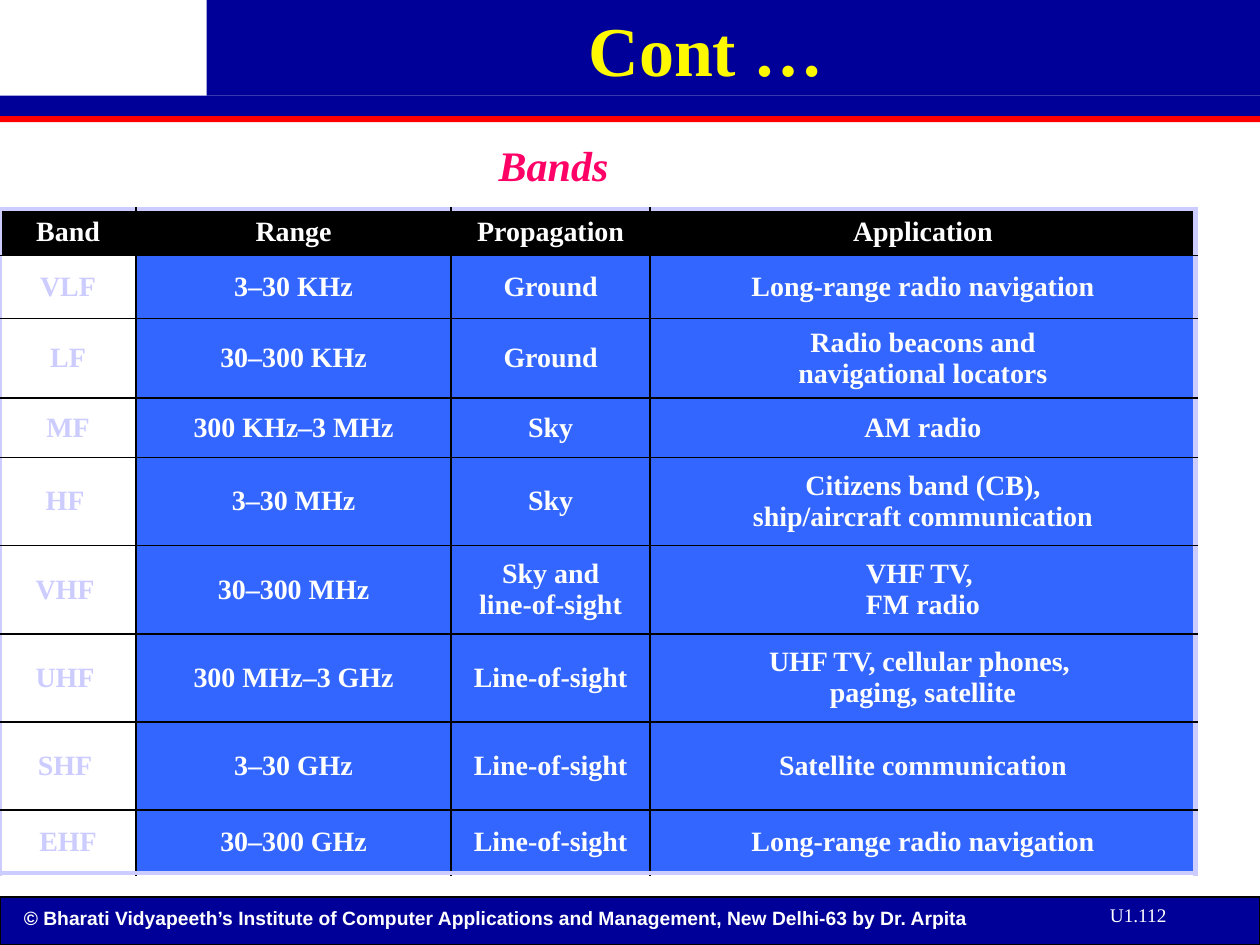
"""Build a slide with a table of radio frequency bands."""
import pptx
import pptx.dml.color
import pptx.enum.shapes
import pptx.enum.text
import pptx.oxml.ns
import pptx.util
from lxml import etree
from pptx.util import Inches

COLORS = {
    "navy": "000099", "red": "FF0000", "black": "000000", "white": "FFFFFF",
    "yellow": "FEF800", "pink": "FF0066", "lavender": "CCCCFF", "blue": "3366FF",
}
SERIF = "Times New Roman"
COLUMN_WIDTHS = [1.08, 2.5, 1.58, 4.33]
ROW_HEIGHTS = [0.2, 0.5, 0.58, 0.47, 0.7, 0.7, 0.7, 0.7, 0.5]
BANDS = [
    ("Band", "Range", "Propagation", "Application"),
    ("VLF", "3–30 KHz", "Ground", "Long-range radio navigation"),
    ("LF", "30–300 KHz", "Ground", "Radio beacons and\vnavigational locators"),
    ("MF", "300 KHz–3 MHz", "Sky", "AM radio"),
    ("HF ", "3–30 MHz", "Sky", "Citizens band (CB),\vship/aircraft communication"),
    ("VHF ", "30–300 MHz", "Sky and\vline-of-sight", "VHF TV, \vFM radio"),
    ("UHF ", "300 MHz–3 GHz", "Line-of-sight", "UHF TV, cellular phones, \vpaging, satellite"),
    ("SHF ", "3–30 GHz", "Line-of-sight", "Satellite communication"),
    ("EHF", "30–300 GHz", "Line-of-sight", "Long-range radio navigation"),
]


def rgb(name):
    return pptx.dml.color.RGBColor.from_string(COLORS[name])


def place(shape, left, top, width, height):
    shape.left, shape.top = Inches(left), Inches(top)
    shape.width, shape.height = Inches(width), Inches(height)


def style(paragraph, size, color, face=SERIF, bold=False, italic=False):
    font = paragraph.font
    font.size, font.name = pptx.util.Pt(size), face
    font.bold, font.italic = bold, italic
    font.color.rgb = rgb(color)


def add_bar(slide, left, top, width, height, color, outline=None):
    bar = slide.shapes.add_shape(
        pptx.enum.shapes.MSO_SHAPE.RECTANGLE,
        Inches(left), Inches(top), Inches(width), Inches(height))
    bar.shadow.inherit = False
    bar.fill.solid()
    bar.fill.fore_color.rgb = rgb(color)
    if outline:
        bar.line.color.rgb = rgb(outline)
        bar.line.width = pptx.util.Pt(0.75)
    else:
        bar.line.fill.background()


def add_label(slide, text, left, top, width, height, size, color, wrap=True, **look):
    label = slide.shapes.add_textbox(
        Inches(left), Inches(top), Inches(width), Inches(height))
    label.text_frame.word_wrap = wrap
    label.text_frame.text = text
    style(label.text_frame.paragraphs[0], size, color, **look)


def add_title(slide, text):
    title = slide.shapes.title
    title.element.getparent().append(title.element)
    place(title, 1.48, 0, 8.25, 0.77)
    frame = title.text_frame
    frame.text = text
    frame.auto_size = pptx.enum.text.MSO_AUTO_SIZE.NONE
    frame.vertical_anchor = pptx.enum.text.MSO_ANCHOR.TOP
    frame.paragraphs[0].alignment = pptx.enum.text.PP_ALIGN.CENTER
    style(frame.paragraphs[0], 40, "yellow", bold=True)


def set_borders(cell, outer_sides):
    properties = cell._tc.get_or_add_tcPr()
    qn = pptx.oxml.ns.qn
    for side in "LRTB":
        color, points = ("lavender", 3) if side in outer_sides else ("black", 1)
        border = etree.SubElement(
            properties, qn(f"a:ln{side}"), w=str(pptx.util.Pt(points)))
        fill = etree.SubElement(border, qn("a:solidFill"))
        etree.SubElement(fill, qn("a:srgbClr"), val=COLORS[color])


def fill_cell(cell, text, background, color, outer_sides):
    set_borders(cell, outer_sides)
    cell.fill.solid()
    cell.fill.fore_color.rgb = rgb(background)
    cell.vertical_anchor = pptx.enum.text.MSO_ANCHOR.MIDDLE
    cell.text = text
    paragraph = cell.text_frame.paragraphs[0]
    paragraph.alignment = pptx.enum.text.PP_ALIGN.CENTER
    style(paragraph, 16, color, bold=True)


def add_band_table(slide):
    last_row, last_column = len(BANDS) - 1, len(COLUMN_WIDTHS) - 1
    table = slide.shapes.add_table(
        len(BANDS), len(COLUMN_WIDTHS), Inches(0), Inches(1.66),
        Inches(sum(COLUMN_WIDTHS)), Inches(sum(ROW_HEIGHTS))).table
    table.first_row = table.horz_banding = False
    for column, width in zip(table.columns, COLUMN_WIDTHS):
        column.width = Inches(width)
    for row, height in zip(table.rows, ROW_HEIGHTS):
        row.height = Inches(height)
    for r, band in enumerate(BANDS):
        for c, text in enumerate(band):
            edges = {"L": c == 0, "R": c == last_column, "T": r == 0, "B": r == last_row}
            outer_sides = [side for side, is_outer in edges.items() if is_outer]
            if r == 0:
                background, color = "black", "white"
            elif c == 0:
                background, color = "white", "lavender"
            else:
                background, color = "blue", "white"
            fill_cell(table.cell(r, c), text, background, color, outer_sides)


def main():
    deck = pptx.Presentation()
    deck.slide_width, deck.slide_height = Inches(10), Inches(7.5)
    slide = deck.slides.add_slide(deck.slide_layouts[5])
    add_bar(slide, 0, 7.12, 10, 0.38, "navy", outline="black")
    add_label(
        slide,
        "© Bharati Vidyapeeth’s Institute of Computer Applications and Management, "
        "New Delhi-63 by Dr. Arpita",
        0.09, 7.14, 9.18, 0.28, 11, "white", face="Arial", bold=True)
    add_bar(slide, 0, 0.92, 10, 0.05, "red")
    add_bar(slide, 1.64, 0, 8.36, 0.76, "navy")
    add_bar(slide, 0, 0.76, 10, 0.16, "navy")
    add_label(slide, "U1.112", 8.71, 7.12, 1.29, 0.29, 11, "white")
    add_label(slide, "Bands", 3.86, 1.06, 1.07, 0.5, 24, "pink",
              wrap=False, bold=True, italic=True)
    add_band_table(slide)
    add_title(slide, "Cont …")
    deck.save("out.pptx")


if __name__ == "__main__":
    main()
